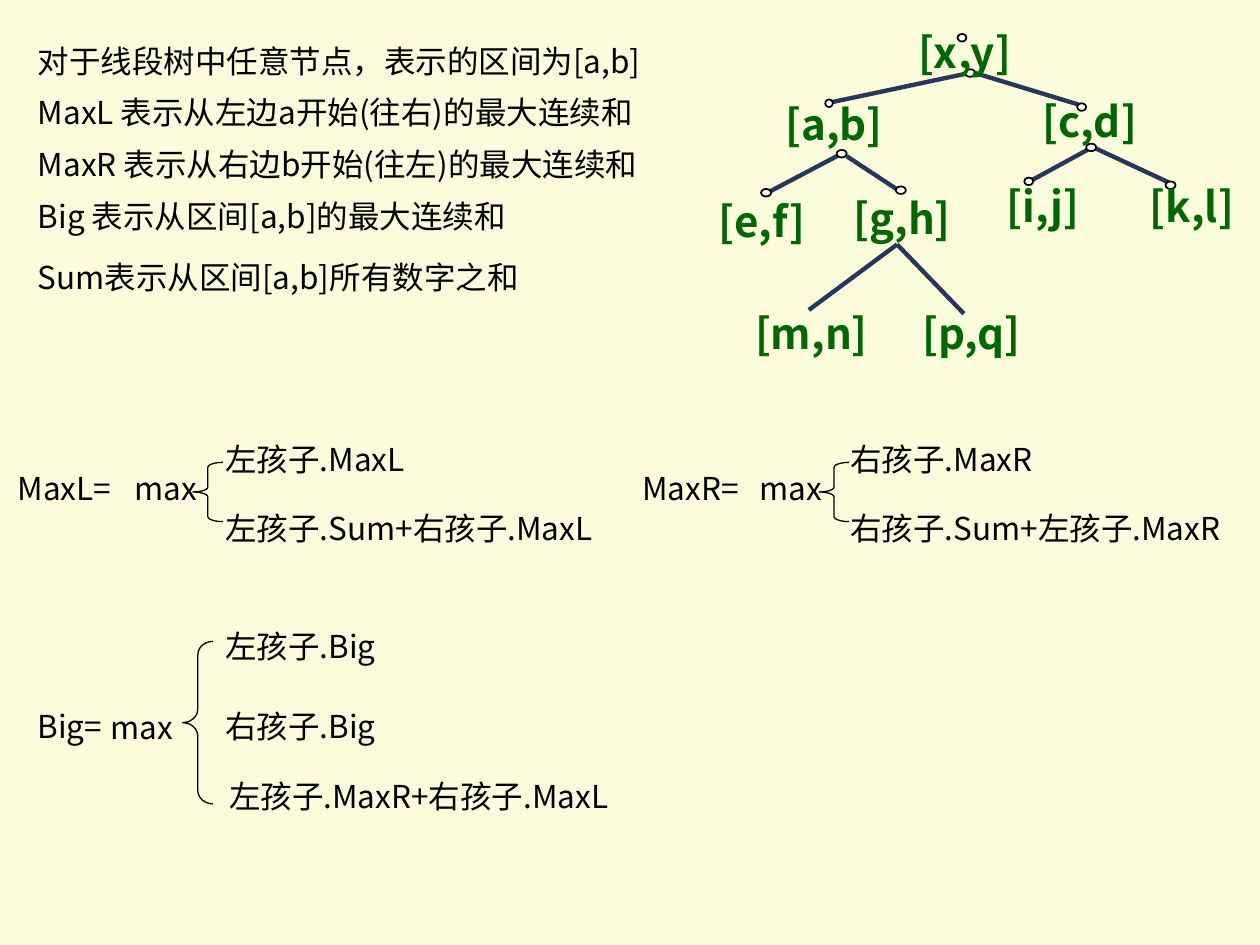
from lxml import etree
from pptx import Presentation
from pptx.dml.color import RGBColor
from pptx.enum.shapes import MSO_CONNECTOR, MSO_SHAPE
from pptx.enum.text import MSO_ANCHOR, MSO_AUTO_SIZE, PP_ALIGN
from pptx.oxml.ns import qn
from pptx.util import Inches, Pt

STRAIGHT = MSO_CONNECTOR.STRAIGHT
OVAL, BRACE = MSO_SHAPE.OVAL, MSO_SHAPE.LEFT_BRACE
TOP = MSO_ANCHOR.TOP
GROW, FIXED = MSO_AUTO_SIZE.SHAPE_TO_FIT_TEXT, MSO_AUTO_SIZE.NONE
LEFT, CENTER = PP_ALIGN.LEFT, PP_ALIGN.CENTER

COLORS = {
    "paper": "FAFCDC",
    "text": "000000",
    "node": "006600",
    "edge": "283659",
    "dot": "FFFFFF",
    "ring": "010101",
    "shade": "C0C0C0",
}
FONT = "Noto Sans CJK SC"
COLUMNS, ROWS = 100, 75

STATEMENTS = [
    ("对于线段树中任意节点，表示的区间为[a,b]", 0),
    ("MaxL 表示从左边a开始(往右)的最大连续和", 8),
    ("MaxR 表示从右边b开始(往左)的最大连续和", 8),
    ("Big 表示从区间[a,b]的最大连续和", 8),
    ("Sum表示从区间[a,b]所有数字之和", 13.4),
]
EDGES = [
    (66.6, 12.3, 61.1, 15.2),
    (67.2, 12.4, 71.3, 15.1),
    (76.9, 5.8, 65.6, 8.2),
    (77.4, 5.8, 85.6, 8.3),
    (86.3, 11.9, 81.9, 14.3),
    (87, 11.8, 92.8, 14.5),
    (71.2, 19.4, 64.2, 24.6),
    (71.2, 19.4, 76.5, 24.9),
]
DOTS = [
    (66.4, 11.9, 0.8), (60.4, 15, 0.8), (71.1, 14.8, 0.8),
    (76.6, 5.5, 0.8), (65.5, 7.9, 0.6), (85.5, 8.2, 0.7),
    (86.2, 11.4, 0.8), (81.3, 14.1, 0.7), (92.5, 14.4, 0.8),
]
ROOT_DOT = (76, 2.7, 0.7)
NODES = [
    ("[x,y]", 71.85, 2.1), ("[a,b]", 61.5, 7.8), ("[c,d]", 81.8, 7.6),
    ("[e,f]", 55.8, 15.5), ("[g,h]", 66.9, 15.3), ("[i,j]", 78.1, 14.3),
    ("[k,l]", 89.9, 14.3), ("[m,n]", 59.7, 24.4), ("[p,q]", 72.4, 24.4),
]
FORMULAS = [
    ("MaxL=", (0.4, 36.7), (9.7, 36.7), (15.3, 36.7, 4.7), [
        ("左孩子.MaxL", 16.9, 34.4, 39),
        ("左孩子.Sum+右孩子.MaxL", 16.9, 39.9, 39),
    ]),
    ("MaxR=", (50, 36.7), (59.3, 36.7), (65, 36.7, 4.7), [
        ("右孩子.MaxR", 66.5, 34.4, 31.5),
        ("右孩子.Sum+左孩子.MaxR", 66.5, 39.9, 33.9),
    ]),
    ("Big=", (2, 55.6), (7.8, 55.7), (14.5, 50.9, 12.9), [
        ("左孩子.Big", 16.9, 49.3, 39),
        ("右孩子.Big", 16.9, 55.6, 31.5),
        ("左孩子.MaxR+右孩子.MaxL", 17.2, 61.2, 39),
    ]),
]


class Board:
    def __init__(self, deck):
        self.deck = deck
        self.page = deck.slides.add_slide(deck.slide_layouts[1])
        self.page.background.fill.solid()
        self.page.background.fill.fore_color.rgb = self.color("paper")
        title = self.page.shapes.title
        title.element.getparent().remove(title.element)
        self.canvas = self.page.shapes

    def color(self, name):
        return RGBColor.from_string(COLORS[name])

    def x(self, columns):
        return int(self.deck.slide_width * columns / COLUMNS)

    def y(self, rows):
        return int(self.deck.slide_height * rows / ROWS)

    def place(self, left, top, width, height):
        return self.x(left), self.y(top), self.x(width), self.y(height)

    def outline(self, shape, color, weight):
        shape.line.color.rgb = self.color(color)
        shape.line.width = Pt(weight)

    def format(self, para, size, color, bold=False):
        for span in para.runs:
            font = span.font
            font.size, font.bold, font.name = Pt(size), bold, FONT
            font.color.rgb = self.color(color)
            latin = font._element.find(qn("a:latin"))
            latin.addnext(etree.Element(qn("a:ea"), typeface=FONT))

    def statements(self, lines, left, top, width, height):
        body = self.page.placeholders[1]
        body.left, body.top, body.width, body.height = self.place(left, top, width, height)
        frame = body.text_frame
        frame.auto_size, frame.vertical_anchor = FIXED, TOP
        frame.text = "\n".join(line for line, gap in lines)
        for para, (line, gap) in zip(frame.paragraphs, lines):
            para.alignment, para.space_before = LEFT, Pt(gap)
            properties = para._p.get_or_add_pPr()
            properties.set("marL", "0")
            properties.set("indent", "0")
            etree.SubElement(properties, qn("a:buNone"))
            self.format(para, 18, "text")

    def text(self, words, left, top, width):
        box = self.canvas.add_textbox(*self.place(left, top, width, 4))
        frame = box.text_frame
        frame.word_wrap, frame.auto_size = True, GROW
        frame.text = words
        self.format(frame.paragraphs[0], 18, "text")

    def node(self, words, left, top):
        box = self.canvas.add_textbox(*self.place(left, top, 9.4, 4))
        frame = box.text_frame
        frame.word_wrap, frame.auto_size = False, GROW
        frame.margin_left = frame.margin_right = 0
        frame.margin_top = frame.margin_bottom = 0
        frame.text = words
        para = frame.paragraphs[0]
        para.alignment = CENTER
        self.format(para, 24, "node", True)
        effects = etree.Element(qn("a:effectLst"))
        shadow = etree.SubElement(effects, qn("a:outerShdw"), dist="38100", dir="2700000")
        etree.SubElement(shadow, qn("a:srgbClr"), val=COLORS["shade"])
        para.runs[0].font._element.find(qn("a:solidFill")).addnext(effects)

    def edge(self, x1, y1, x2, y2):
        line = self.canvas.add_connector(
            STRAIGHT, self.x(x1), self.y(y1), self.x(x2), self.y(y2))
        self.outline(line, "edge", 2.5)
        etree.SubElement(line._element.spPr, qn("a:effectLst"))

    def dot(self, left, top, width):
        oval = self.canvas.add_shape(OVAL, *self.place(left, top, width, 0.6))
        oval.shadow.inherit = False
        oval.fill.solid()
        oval.fill.fore_color.rgb = self.color("dot")
        self.outline(oval, "ring", 1)

    def brace(self, left, top, height, width=2.4):
        brace = self.canvas.add_shape(BRACE, *self.place(left, top, width, height))
        brace.adjustments[0] = height / width / 12
        brace.shadow.inherit = False
        brace.fill.background()
        self.outline(brace, "text", 0.75)

    def tree(self):
        self.canvas = self.page.shapes.add_group_shape().shapes
        for edge in EDGES:
            self.edge(*edge)
        for dot in DOTS:
            self.dot(*dot)
        for node in NODES:
            self.node(*node)
        self.dot(*ROOT_DOT)
        self.canvas = self.page.shapes

    def formula(self, name, name_spot, max_spot, brace, choices):
        self.text(name, *name_spot, 12.5)
        for choice in choices:
            self.text(*choice)
        self.brace(*brace)
        self.text("max", *max_spot, 8)


def main():
    deck = Presentation()
    deck.slide_width, deck.slide_height = Inches(10), Inches(7.5)
    board = Board(deck)
    board.tree()
    board.statements(STATEMENTS, 2, 2.8, 55.6, 24)
    for formula in FORMULAS:
        board.formula(*formula)
    deck.save("out.pptx")


if __name__ == "__main__":
    main()
